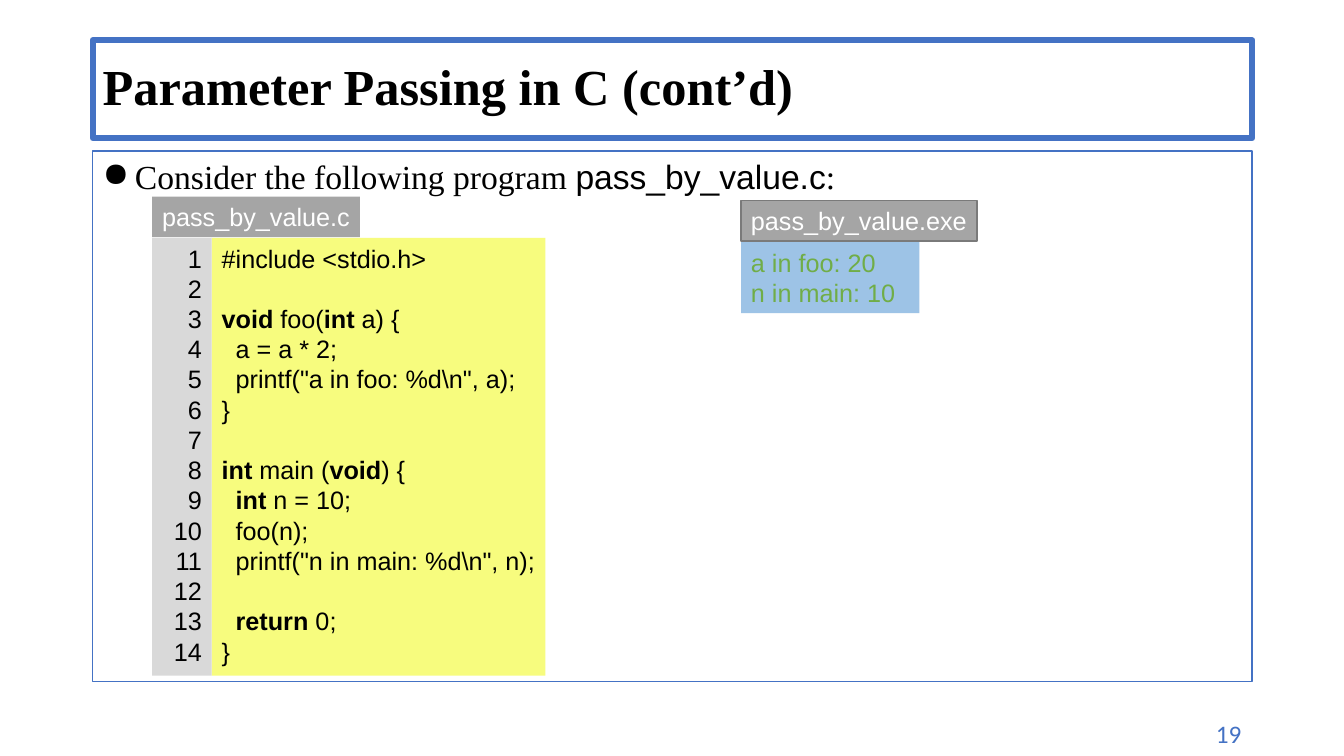
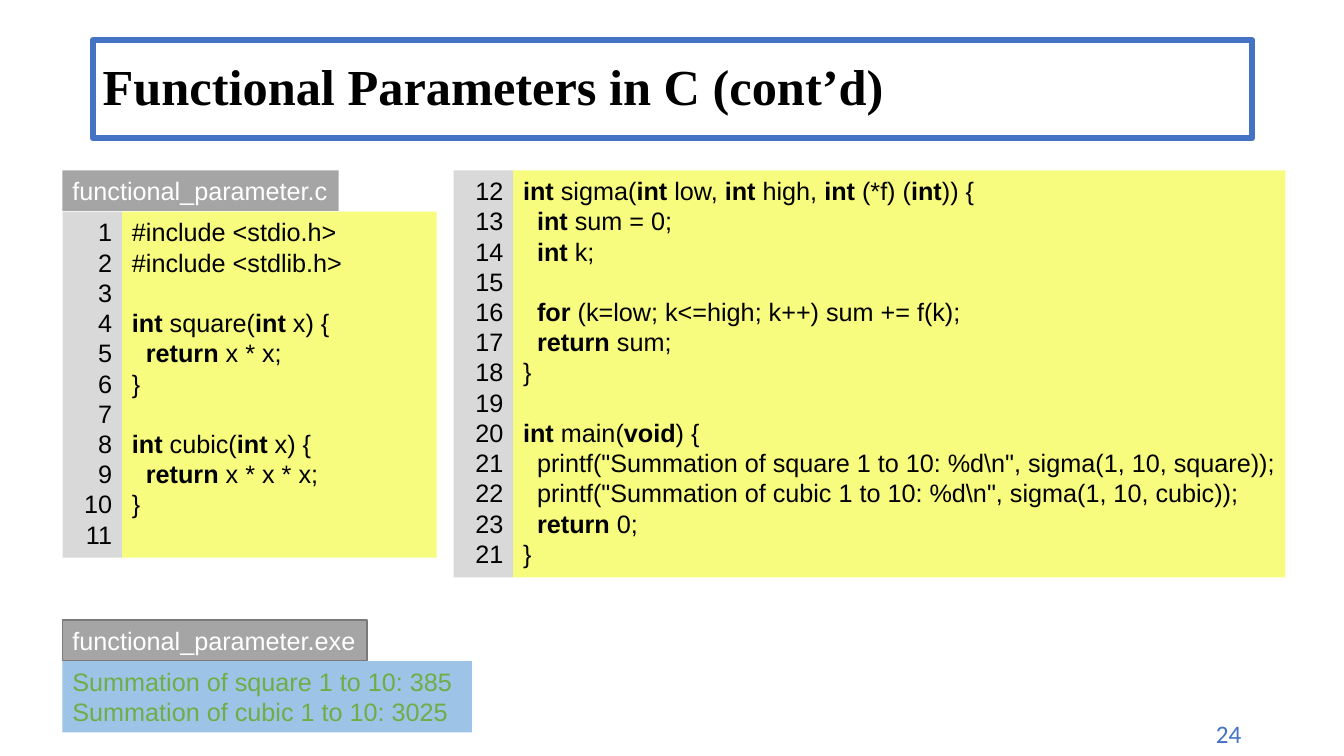
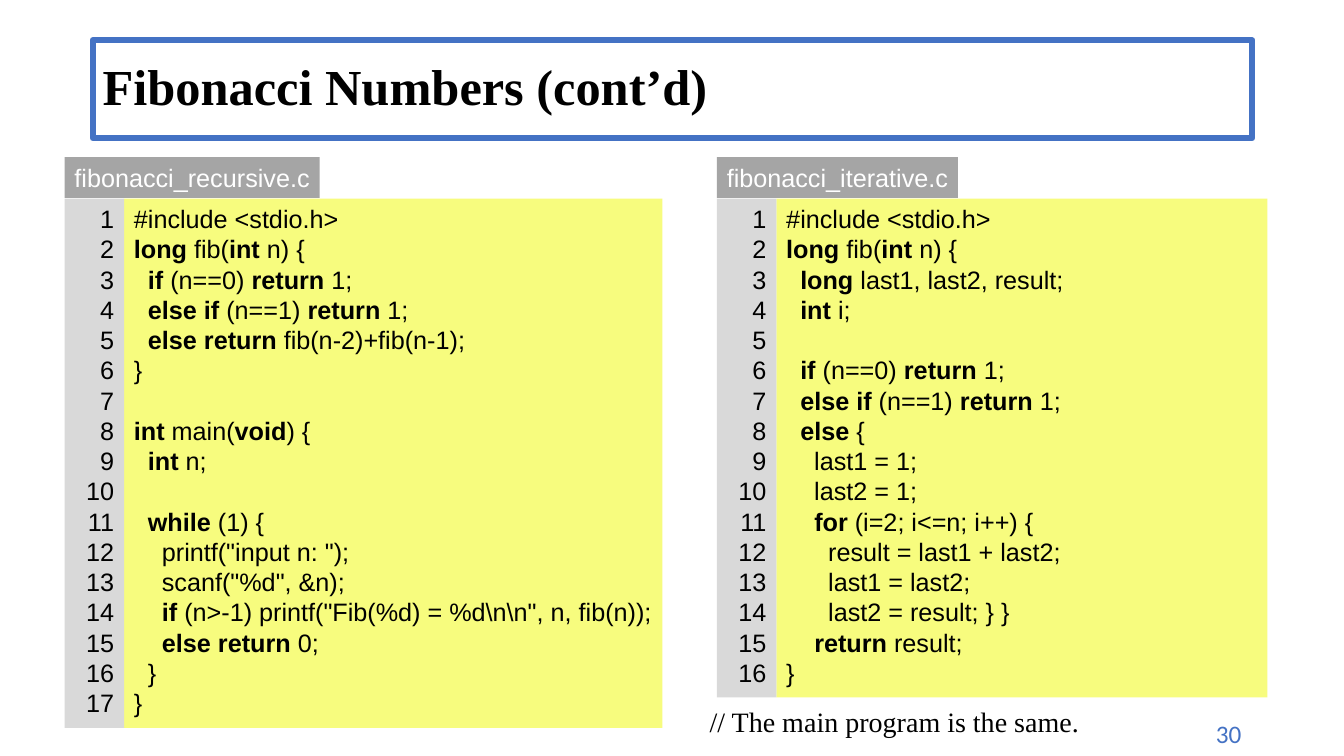
from dataclasses import dataclass
from itertools import groupby

from lxml import etree
from pptx import Presentation
from pptx.dml.color import RGBColor
from pptx.enum.shapes import MSO_SHAPE
from pptx.enum.text import MSO_ANCHOR, PP_ALIGN
from pptx.oxml.ns import qn
from pptx.util import Inches, Pt

RECTANGLE = MSO_SHAPE.RECTANGLE
TOP, MIDDLE = MSO_ANCHOR.TOP, MSO_ANCHOR.MIDDLE
LEFT, RIGHT = PP_ALIGN.LEFT, PP_ALIGN.RIGHT

KEYWORDS = {"void", "int", "long", "return", "for", "while", "if", "else"}
LINE_HEIGHT = 0.303
PADDING = 0.1
GUTTER_WIDTH = 0.59
LABEL_RISE = 0.41


@dataclass(frozen=True)
class Theme:
    blue: str = "4472C4"
    black: str = "000000"
    white: str = "FFFFFF"
    label: str = "A5A5A5"
    label_line: str = "7A7A7A"
    gutter: str = "D9D9D9"
    code: str = "F7FC7E"
    output: str = "9DC3E6"
    output_text: str = "70AD47"
    serif: str = "Times New Roman"
    sans: str = "Arial"
    number_font: str = "Calibri"
    title_size: float = 36
    body_size: float = 24
    note_size: float = 20
    code_size: float = 18
    code_spacing: float = 21.6


def panel_height(line_count):
    return PADDING + LINE_HEIGHT * line_count


def code_runs(line):
    """Split a line of C into (text, is_keyword) pairs."""
    words = ("".join(group) for _, group in
             groupby(line, lambda letter: letter.isalnum() or letter == "_"))
    return [("".join(group), is_keyword) for is_keyword, group in
            groupby(words, lambda word: word in KEYWORDS)]


class Deck:
    def __init__(self, theme):
        self.theme = theme
        self.presentation = Presentation()
        self.presentation.slide_width = Inches(13.33)
        self.presentation.slide_height = Inches(7.5)
        self.slide = None

    def add_slide(self, title, number):
        theme = self.theme
        self.slide = self.presentation.slides.add_slide(self.presentation.slide_layouts[6])
        self.text_box(10.84, 7.08, 1.57, 0.4, str(number), RIGHT, theme.blue,
                      name=theme.number_font, size=Pt(theme.code_size))
        shape = self.box(0.92, 0.4, 11.5, 0.97, line=theme.blue, line_width=4.5, anchor=MIDDLE)
        paragraph = shape.text_frame.paragraphs[0]
        paragraph.line_spacing = 0.9
        self.add_text(paragraph, title, theme.black, name=theme.serif,
                      size=Pt(theme.title_size), bold=True)

    def box(self, left, top, width, height, fill=None, line=None, line_width=1.0, anchor=TOP):
        shape = self.slide.shapes.add_shape(
            RECTANGLE, Inches(left), Inches(top), Inches(width), Inches(height))
        shape.shadow.inherit = False
        if fill:
            shape.fill.solid()
            shape.fill.fore_color.rgb = RGBColor.from_string(fill)
        else:
            shape.fill.background()
        if line:
            shape.line.color.rgb = RGBColor.from_string(line)
            shape.line.width = Pt(line_width)
        else:
            shape.line.fill.background()
        frame = shape.text_frame
        frame.word_wrap = True
        frame.vertical_anchor = anchor
        frame.paragraphs[0].alignment = LEFT
        return shape

    def add_text(self, paragraph, text, color, **font_format):
        run = paragraph.add_run()
        run.text = text
        for attribute, value in font_format.items():
            setattr(run.font, attribute, value)
        run.font.color.rgb = RGBColor.from_string(color)

    def text_box(self, left, top, width, height, text, alignment, color, **font_format):
        shape = self.slide.shapes.add_textbox(
            Inches(left), Inches(top), Inches(width), Inches(height))
        shape.text_frame.word_wrap = True
        paragraph = shape.text_frame.paragraphs[0]
        paragraph.alignment = alignment
        self.add_text(paragraph, text, color, **font_format)

    def bullet_body(self, runs):
        """Framed body with one bullet; runs are (text, font name) pairs."""
        theme = self.theme
        shape = self.box(0.92, 1.5, 11.5, 5.26, line=theme.blue)
        paragraph = shape.text_frame.paragraphs[0]
        properties = paragraph._p.get_or_add_pPr()
        properties.set("marL", str(Inches(0.32)))
        properties.set("indent", str(-Inches(0.32)))
        etree.SubElement(properties, qn("a:buChar")).set("char", "●")
        for text, font_name in runs:
            self.add_text(paragraph, text, theme.black, name=font_name,
                          size=Pt(theme.body_size))

    def panel(self, left, top, width, lines, fill, color, alignment=LEFT, line=None):
        """Filled box of listing lines, each given as (text, bold) pairs."""
        theme = self.theme
        shape = self.box(left, top, width, panel_height(len(lines)), fill, line)
        frame = shape.text_frame
        frame.margin_right = Inches(PADDING if alignment == RIGHT else 0)
        for index, runs in enumerate(lines):
            paragraph = frame.add_paragraph() if index else frame.paragraphs[0]
            paragraph.alignment = alignment
            paragraph.line_spacing = Pt(theme.code_spacing)
            for text, bold in runs:
                self.add_text(paragraph, text, color, name=theme.sans,
                              size=Pt(theme.code_size), bold=bold)

    def file_label(self, left, panel_top, width, text, line=None):
        self.panel(left, panel_top - LABEL_RISE, width, [[(text, False)]],
                   self.theme.label, self.theme.white, line=line)

    def listing(self, left, top, width, code, numbers):
        """Code panel with its line-number gutter on the left."""
        theme = self.theme
        lines = [code_runs(line) for line in code.strip("\n").split("\n")]
        lines += [[]] * (len(numbers) - len(lines))
        self.panel(left + GUTTER_WIDTH, top, width, lines, theme.code, theme.black)
        self.panel(left, top, GUTTER_WIDTH, [[(str(number), False)] for number in numbers],
                   theme.gutter, theme.black, RIGHT)

    def program_output(self, left, top, width, lines, label, label_width):
        theme = self.theme
        self.panel(left, top, width, [[(line, False)] for line in lines],
                   theme.output, theme.output_text)
        self.file_label(left, top, label_width, label, theme.label_line)


PASS_BY_VALUE = r"""
#include <stdio.h>

void foo(int a) {
  a = a * 2;
  printf("a in foo: %d\n", a);
}

int main (void) {
  int n = 10;
  foo(n);
  printf("n in main: %d\n", n);

  return 0;
}
"""

SQUARE_AND_CUBIC = r"""
#include <stdio.h>
#include <stdlib.h>

int square(int x) {
  return x * x;
}

int cubic(int x) {
  return x * x * x;
}
"""

SIGMA_AND_MAIN = r"""
int sigma(int low, int high, int (*f) (int)) {
  int sum = 0;
  int k;

  for (k=low; k<=high; k++) sum += f(k);
  return sum;
}

int main(void) {
  printf("Summation of square 1 to 10: %d\n", sigma(1, 10, square));
  printf("Summation of cubic 1 to 10: %d\n", sigma(1, 10, cubic));
  return 0;
}
"""

FIBONACCI_RECURSIVE = r"""
#include <stdio.h>
long fib(int n) {
  if (n==0) return 1;
  else if (n==1) return 1;
  else return fib(n-2)+fib(n-1);
}

int main(void) {
  int n;

  while (1) {
    printf("input n: ");
    scanf("%d", &n);
    if (n>-1) printf("Fib(%d) = %d\n\n", n, fib(n));
    else return 0;
  }
}
"""

FIBONACCI_ITERATIVE = r"""
#include <stdio.h>
long fib(int n) {
  long last1, last2, result;
  int i;

  if (n==0) return 1;
  else if (n==1) return 1;
  else {
    last1 = 1;
    last2 = 1;
    for (i=2; i<=n; i++) {
      result = last1 + last2;
      last1 = last2;
      last2 = result; } }
    return result;
}
"""


def parameter_passing(deck):
    theme = deck.theme
    deck.add_slide("Parameter Passing in C (cont’d)", 19)
    deck.bullet_body([("Consider the following program ", theme.serif),
                      ("pass_by_value.c", theme.sans), (":", theme.serif)])
    deck.file_label(1.51, 2.36, 2.06, "pass_by_value.c")
    deck.listing(1.51, 2.36, 3.31, PASS_BY_VALUE, range(1, 15))
    deck.program_output(7.35, 2.4, 1.77, ["a in foo: 20", "n in main: 10"],
                        "pass_by_value.exe", 2.34)


def functional_parameters(deck):
    deck.add_slide("Functional Parameters in C (cont’d)", 24)
    deck.file_label(0.62, 2.1, 2.74, "functional_parameter.c")
    deck.listing(0.62, 2.1, 3.12, SQUARE_AND_CUBIC, range(1, 12))
    deck.listing(4.5, 1.69, 7.66, SIGMA_AND_MAIN, [*range(12, 24), 21])
    deck.program_output(0.62, 6.56, 4.06,
                        ["Summation of square 1 to 10: 385",
                         "Summation of cubic 1 to 10: 3025"],
                        "functional_parameter.exe", 3.02)


def fibonacci_numbers(deck):
    theme = deck.theme
    deck.add_slide("Fibonacci Numbers (cont’d)", 30)
    deck.file_label(0.64, 1.97, 2.53, "fibonacci_recursive.c")
    deck.listing(0.64, 1.97, 5.34, FIBONACCI_RECURSIVE, range(1, 18))
    deck.file_label(7.11, 1.97, 2.39, "fibonacci_iterative.c")
    deck.listing(7.11, 1.97, 4.87, FIBONACCI_ITERATIVE, range(1, 17))
    deck.text_box(6.94, 6.94, 4.44, 0.44, "// The main program is the same.", LEFT,
                  theme.black, name=theme.serif, size=Pt(theme.note_size))


def main():
    deck = Deck(Theme())
    for build_slide in (parameter_passing, functional_parameters, fibonacci_numbers):
        build_slide(deck)
    deck.presentation.save("out.pptx")


if __name__ == "__main__":
    main()
